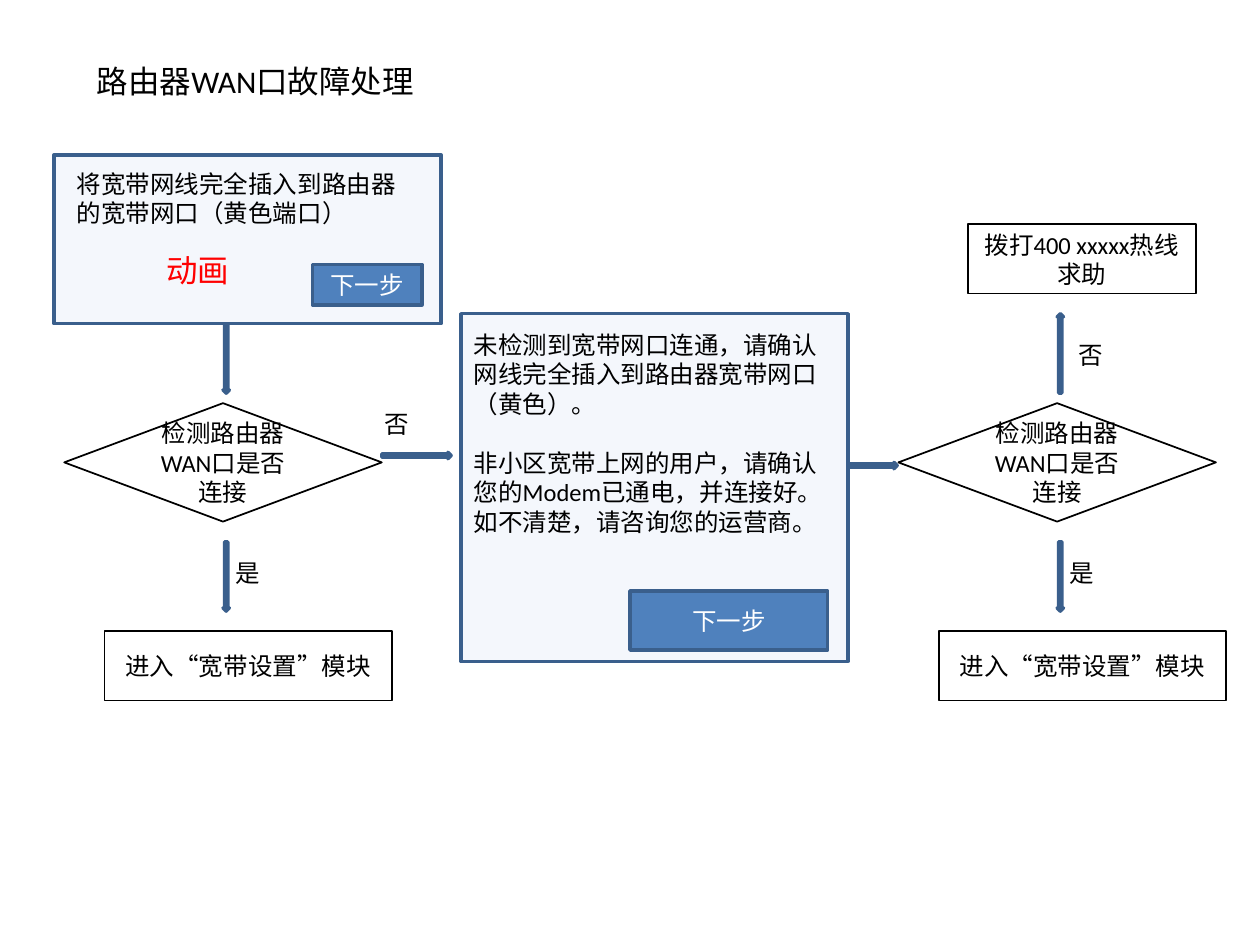
"""Build the flow chart for router WAN port troubleshooting."""
from lxml import etree
from pptx import Presentation
from pptx import util as u
from pptx.dml.color import RGBColor
from pptx.enum import shapes, text
from pptx.oxml.ns import qn

KIND = shapes.MSO_SHAPE
BLACK, WHITE, RED = "000000", "FFFFFF", "FF0000"
BLUE, EDGE, PALE = "4F81BD", "3A5F8C", "C6D9F1"
STEP = 6.62


def color(code):
    """Turn a hex string into a colour."""
    return RGBColor.from_string(code)


def write(frame, lines, size, ink, align, gap=0):
    """Fill a text frame with evenly styled paragraphs."""
    frame.word_wrap = True
    for i, line in enumerate(lines):
        para = frame.add_paragraph() if i else frame.paragraphs[0]
        para.text = line
        para.alignment = align
        if i:
            para.space_before = u.Pt(gap)
        for run in para.runs:
            run.font.name = "Calibri"
            run.font.size = u.Pt(size)
            run.font.color.rgb = color(ink)


def label(slide, box, *lines, size=14, ink=BLACK, gap=0):
    """Add left-aligned free text."""
    frame = slide.shapes.add_textbox(*map(u.Inches, box)).text_frame
    write(frame, lines, size, ink, text.PP_ALIGN.LEFT, gap)
    frame.auto_size = text.MSO_AUTO_SIZE.SHAPE_TO_FIT_TEXT


def shape(slide, kind, box, fill, edge, width):
    """Add a flat filled shape with an outline."""
    item = slide.shapes.add_shape(kind, *map(u.Inches, box))
    item.shadow.inherit = False
    item.fill.solid()
    item.fill.fore_color.rgb = color(fill)
    item.line.color.rgb = color(edge)
    item.line.width = u.Pt(width)
    return item


def node(slide, kind, box, words):
    """Add a white flow chart node with centred text."""
    item = shape(slide, kind, box, WHITE, BLACK, 1)
    item.text_frame.vertical_anchor = text.MSO_ANCHOR.MIDDLE
    write(item.text_frame, [words], 14, BLACK, text.PP_ALIGN.CENTER)


def button(slide, box):
    """Add a blue button that leads to the next step."""
    item = shape(slide, KIND.RECTANGLE, box, BLUE, EDGE, 2)
    item.text_frame.vertical_anchor = text.MSO_ANCHOR.MIDDLE
    write(item.text_frame, ["下一步"], 14, WHITE, text.PP_ALIGN.CENTER)


def arrow(slide, kind, box):
    """Add a thin block arrow."""
    shape(slide, kind, box, BLUE, EDGE, 2)


def panel(slide, box):
    """Add a translucent screen panel."""
    item = shape(slide, KIND.RECTANGLE, box, PALE, EDGE, 2)
    tint = item.fill._xPr.find(".//" + qn("a:srgbClr"))
    etree.SubElement(tint, qn("a:alpha"), val="19000")


def check(slide, left):
    """Add a connection check with its yes branch."""
    node(slide, KIND.FLOWCHART_PROCESS, (left + 0.32, 5.01, 2.28, 0.55),
         "进入“宽带设置”模块")
    node(slide, KIND.DIAMOND, (left, 3.2, 2.52, 0.94),
         "检测路由器WAN口是否连接")
    arrow(slide, KIND.DOWN_ARROW, (left + 1.26, 4.3, 0.05, 0.55))
    label(slide, (left + 1.26, 4.38, 0.79, 0.34), "是")


def main():
    """Lay out the slide and save it."""
    deck = Presentation()
    deck.slide_width, deck.slide_height = u.Inches(10), u.Inches(7.5)
    slide = deck.slides.add_slide(deck.slide_layouts[6])

    label(slide, (0.67, 0.44, 3.62, 0.4), "路由器WAN口故障处理", size=18)
    for i in range(2):
        check(slide, 0.51 + i * STEP)

    arrow(slide, KIND.DOWN_ARROW, (1.77, 2.57, 0.05, 0.55))
    panel(slide, (0.43, 1.23, 3.07, 1.34))
    label(slide, (0.51, 1.29, 2.83, 0.57),
          "将宽带网线完全插入到路由器的宽带网口（黄色端口）")
    label(slide, (1.22, 1.94, 0.94, 0.4), "动画", size=18, ink=RED)
    button(slide, (2.48, 2.1, 0.87, 0.32))

    panel(slide, (3.66, 2.49, 3.07, 2.76))
    label(slide, (3.66, 2.57, 3.07, 1.75),
          "未检测到宽带网口连通，请确认网线完全插入到路由器宽带网口（黄色）。",
          "非小区宽带上网的用户，请确认您的Modem已通电，并连接好。"
          "如不清楚，请咨询您的运营商。", gap=17)
    button(slide, (5, 4.69, 1.57, 0.47))

    arrow(slide, KIND.RIGHT_ARROW, (3.03, 3.59, 0.55, 0.05))
    label(slide, (2.95, 3.2, 0.55, 0.34), "否")
    arrow(slide, KIND.RIGHT_ARROW, (6.73, 3.67, 0.39, 0.05))
    arrow(slide, KIND.UP_ARROW, (8.39, 2.49, 0.05, 0.63))
    label(slide, (8.46, 2.65, 0.79, 0.34), "否")
    node(slide, KIND.FLOWCHART_PROCESS, (7.68, 1.78, 1.81, 0.55),
         "拨打400 xxxxx热线求助")

    deck.save("out.pptx")


if __name__ == "__main__":
    main()
